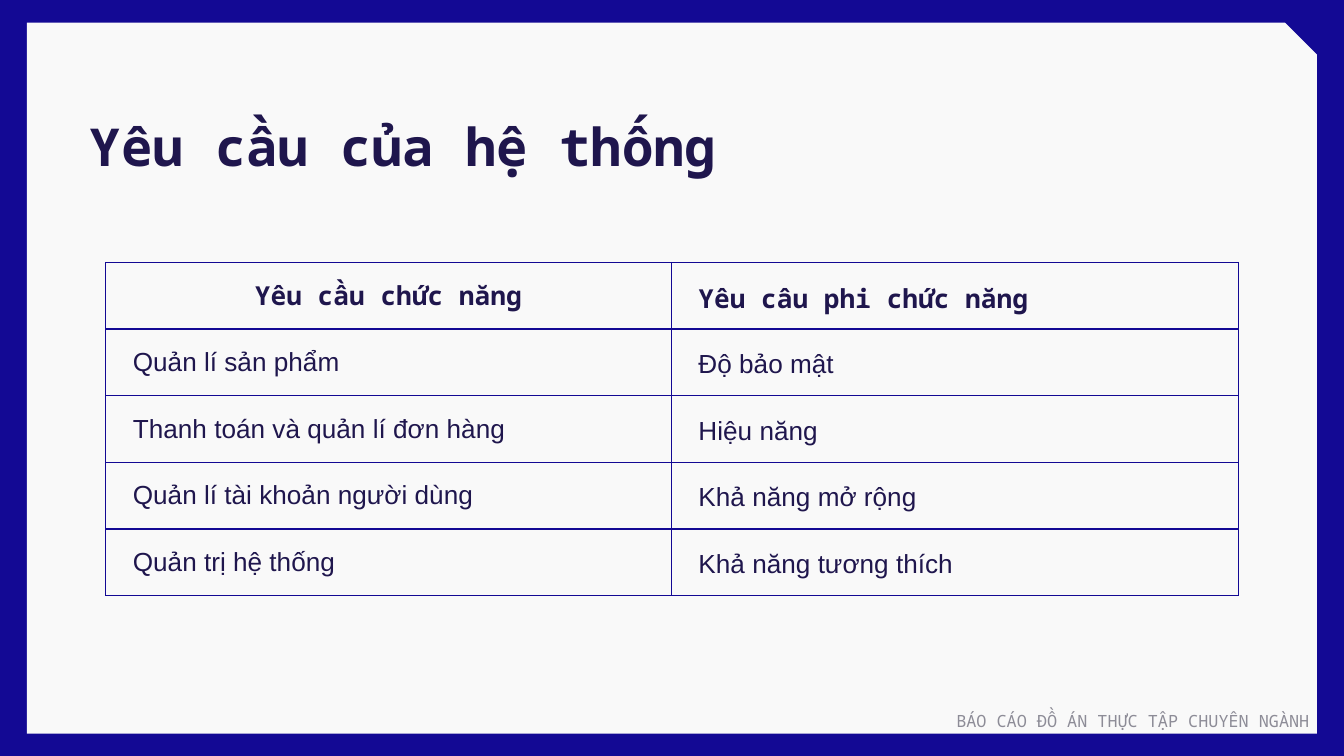
from lxml import etree
from pptx import Presentation
from pptx.dml.color import RGBColor
from pptx.enum import shapes, text
from pptx.oxml.ns import qn
from pptx.util import Cm, Pt

NAVY, PAPER, INK, GREY = "130994", "F9F9F9", "1F164D", "8D8C97"
MONO, SANS = "Noto Sans Mono", "Arial"
ALIGN, ANCHOR = text.PP_ALIGN, text.MSO_ANCHOR

ROWS = [
    ("Yêu cầu chức năng", "Yêu câu phi chức năng"),
    ("Quản lí sản phẩm", "Độ bảo mật"),
    ("Thanh toán và quản lí đơn hàng", "Hiệu năng"),
    ("Quản lí tài khoản người dùng", "Khả năng mở rộng"),
    ("Quản trị hệ thống", "Khả năng tương thích"),
]


def paint(fill, color):
    fill.solid()
    fill.fore_color.rgb = RGBColor.from_string(color)


def write(frame, words, size, font=MONO, color=INK, bold=False,
          align=ALIGN.LEFT, space=1.0):
    para = frame.paragraphs[0]
    para.text = words
    para.alignment = align
    para.line_spacing = space
    para.font.size = Pt(size)
    para.font.name = font
    para.font.bold = bold
    para.font.color.rgb = RGBColor.from_string(color)


def add_panel(slide):
    panel = slide.shapes.add_shape(
        shapes.MSO_SHAPE.SNIP_1_RECTANGLE,
        Cm(0.51), Cm(0.43), Cm(24.38), Cm(13.44))
    panel.adjustments[0] = 0.045
    panel.shadow.inherit = False
    paint(panel.fill, PAPER)
    panel.line.fill.background()


def add_label(slide, box, words, size, inset, anchor, **style):
    frame = slide.shapes.add_textbox(*map(Cm, box)).text_frame
    frame.word_wrap = True
    frame.vertical_anchor = anchor
    frame.margin_left = frame.margin_right = Cm(0.25)
    frame.margin_top = frame.margin_bottom = Cm(inset)
    write(frame, words, size, **style)


def add_edges(cell, color, width):
    """Draw all four borders, which must come before the cell's fill."""
    props = cell._tc.get_or_add_tcPr()
    for i, side in enumerate(("a:lnL", "a:lnR", "a:lnT", "a:lnB")):
        edge = etree.Element(qn(side), w=str(Pt(width)))
        fill = etree.SubElement(edge, qn("a:solidFill"))
        etree.SubElement(fill, qn("a:srgbClr"), val=color)
        props.insert(i, edge)


def add_grid(slide):
    grid = slide.shapes.add_table(
        len(ROWS), 2, Cm(2), Cm(4.96), Cm(21.41), Cm(6.3)).table
    for col, width in zip(grid.columns, (10.69, 10.72)):
        col.width = Cm(width)
    for r, row in enumerate(ROWS):
        grid.rows[r].height = Cm(1.26)
        head = r == 0
        for c, words in enumerate(row):
            cell = grid.cell(r, c)
            cell.vertical_anchor = ANCHOR.MIDDLE
            cell.margin_left = cell.margin_right = Cm(0.51)
            cell.margin_top = cell.margin_bottom = Cm(0.18)
            paint(cell.fill, PAPER)
            add_edges(cell, NAVY, 0.75)
            write(cell.text_frame, words, 14, MONO if head else SANS,
                  bold=head, space=1.15 if c else 1.0,
                  align=ALIGN.CENTER if head and c == 0 else ALIGN.LEFT)


def main():
    deck = Presentation()
    deck.slide_width, deck.slide_height = Cm(25.4), Cm(14.29)
    slide = deck.slides.add_slide(deck.slide_layouts[6])
    paint(slide.background.fill, NAVY)
    add_panel(slide)
    add_label(slide, (1.45, 1.73, 21.41, 1.6), "Yêu cầu của hệ thống", 28,
              0.25, ANCHOR.TOP, bold=True, space=1.15)
    add_grid(slide)
    add_label(slide, (17.4, 13.26, 7.59, 0.74),
              "BÁO CÁO ĐỒ ÁN THỰC TẬP CHUYÊN NGÀNH", 9,
              0.13, ANCHOR.MIDDLE, color=GREY, align=ALIGN.RIGHT)
    deck.save("out.pptx")


if __name__ == "__main__":
    main()
